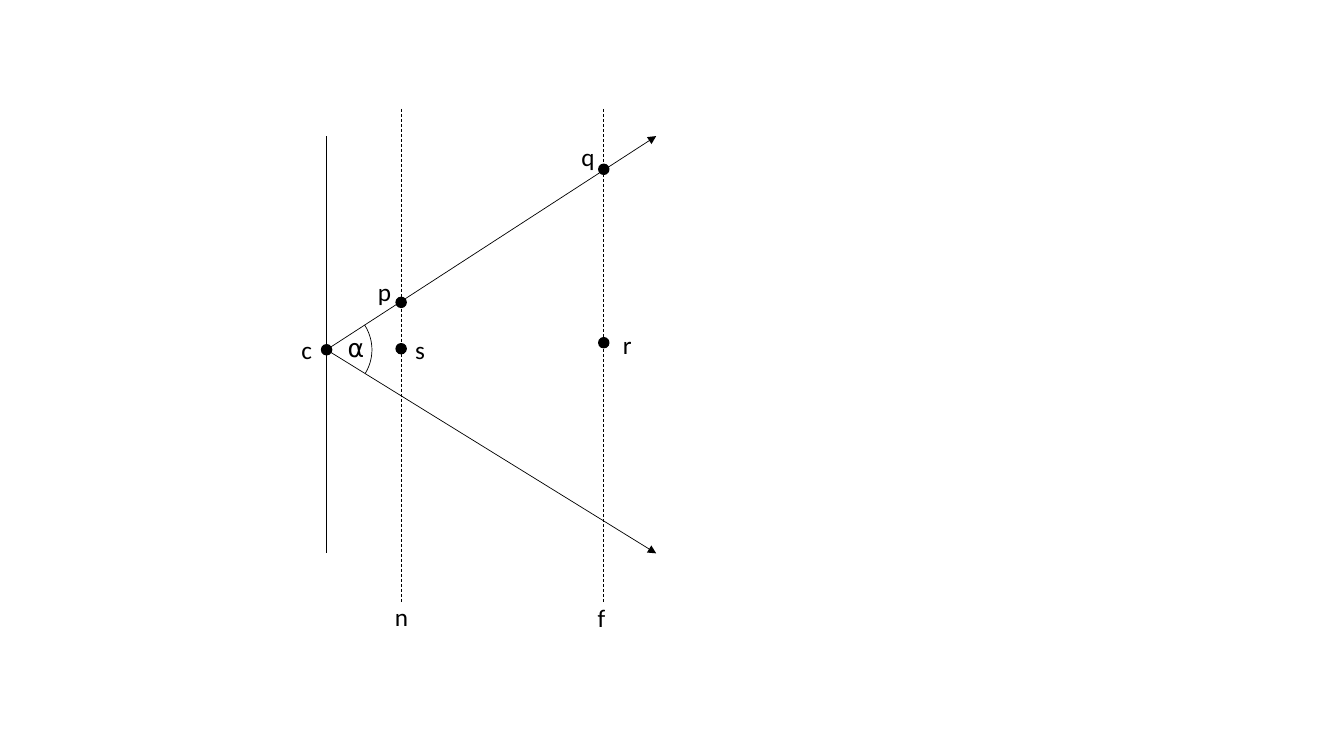
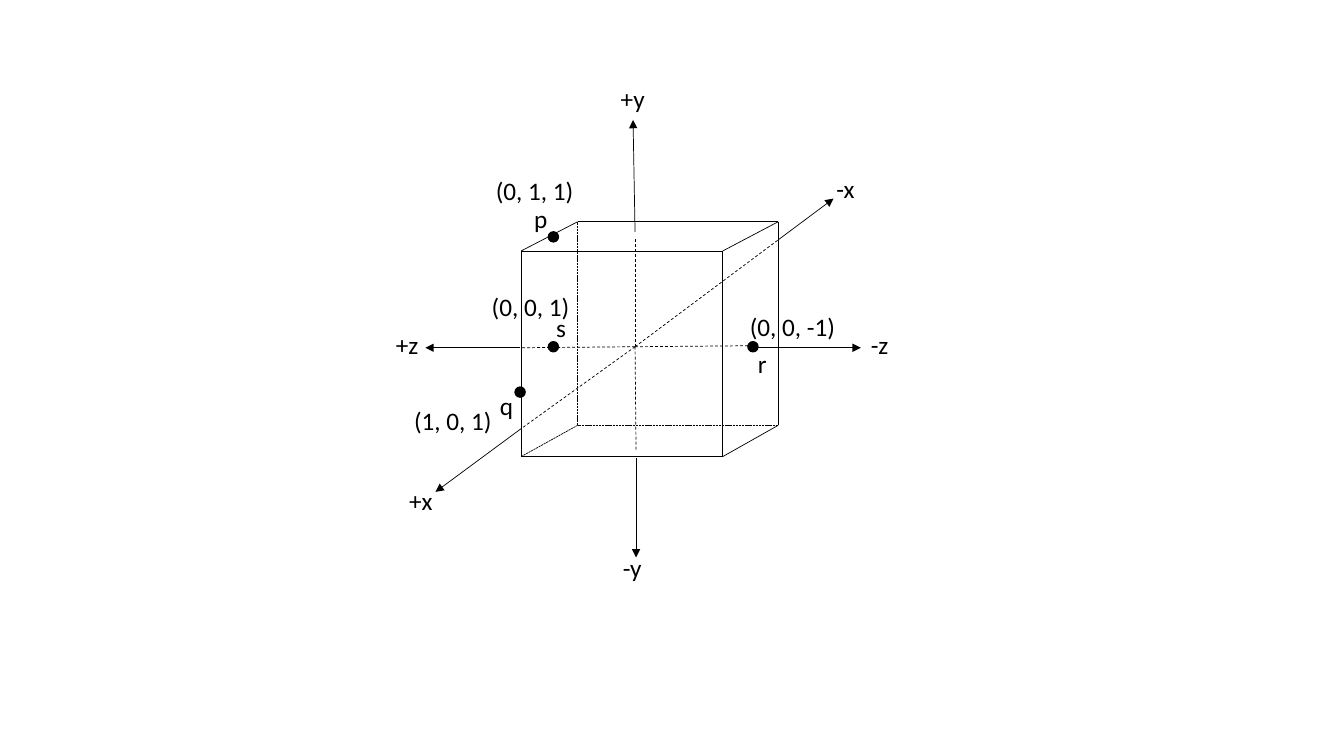
import math

from lxml import etree
from pptx import Presentation
from pptx.dml.color import RGBColor
from pptx.enum.dml import MSO_LINE
from pptx.enum.shapes import MSO_CONNECTOR, MSO_SHAPE
from pptx.enum.text import MSO_AUTO_SIZE
from pptx.oxml.ns import qn
from pptx.util import Inches, Pt

STRAIGHT = MSO_CONNECTOR.STRAIGHT
OVAL = MSO_SHAPE.OVAL
GROW = MSO_AUTO_SIZE.SHAPE_TO_FIT_TEXT
DASH = MSO_LINE.DASH
SHORT_DASH = MSO_LINE.SQUARE_DOT

COLORS = {"ink": "000000", "paper": "FFFFFF"}
BLANK_LAYOUT = 6


def cells(n):
    """Length of n grid cells; the slide is 133.3 columns by 75 rows."""
    return Inches(n / 10)


class Diagram:
    """Line-drawing style plus the current slide; points are (column, row)."""

    font, font_size = "Calibri", Pt(18)
    thin, outline = Pt(0.5), Pt(1)
    dot_size, label_height = 1, 4

    def __init__(self, prs):
        self.prs = prs
        self.ink = RGBColor.from_string(COLORS["ink"])

    def new_slide(self):
        self.slide = self.prs.slides.add_slide(self.prs.slide_layouts[BLANK_LAYOUT])
        fill = self.slide.background.fill
        fill.solid()
        fill.fore_color.rgb = RGBColor.from_string(COLORS["paper"])

    def stroke(self, sp, width):
        sp.line.color.rgb = self.ink
        sp.line.width = width

    def line(self, start, end, dash=None, arrow=False):
        sp = self.slide.shapes.add_connector(
            STRAIGHT, *(cells(n) for n in (*start, *end)))
        self.stroke(sp, self.thin)
        if dash:
            sp.line.dash_style = dash
        if arrow:
            ln = sp._element.spPr.find(qn("a:ln"))
            etree.SubElement(ln, qn("a:tailEnd"), type="triangle")
        etree.SubElement(sp._element.spPr, qn("a:effectLst"))

    def arrow(self, start, end):
        self.line(start, end, arrow=True)

    def dot(self, x, y):
        """Filled point centred on (x, y)."""
        d = self.dot_size
        sp = self.slide.shapes.add_shape(
            OVAL, cells(x - d / 2), cells(y - d / 2), cells(d), cells(d))
        sp.shadow.inherit = False
        sp.fill.solid()
        sp.fill.fore_color.rgb = self.ink
        self.stroke(sp, self.outline)

    def angle(self, vertex, end_a, end_b, radius, steps=24):
        """Circular arc between the rays from vertex to end_a and to end_b."""
        x, y = vertex
        a, b = (math.atan2(ey - y, ex - x) for ex, ey in (end_a, end_b))
        turns = [a + (b - a) * i / steps for i in range(steps + 1)]
        points = [(cells(x + radius * math.cos(t)), cells(y + radius * math.sin(t)))
                  for t in turns]
        builder = self.slide.shapes.build_freeform(*points[0])
        builder.add_line_segments(points[1:], close=False)
        sp = builder.convert_to_shape()
        sp.shadow.inherit = False
        sp.fill.background()
        self.stroke(sp, self.thin)

    def label(self, text, left, top, width):
        sp = self.slide.shapes.add_textbox(
            cells(left), cells(top), cells(width), cells(self.label_height))
        tf = sp.text_frame
        tf.word_wrap = False
        tf.auto_size = GROW
        r = tf.paragraphs[0].add_run()
        r.text = text
        r.font.name, r.font.size = self.font, self.font_size
        r.font.color.rgb = self.ink


def view_frustum(d):
    d.new_slide()
    eye, upper, lower = (32.4, 34.7), (65.1, 13.5), (65.1, 54.9)
    d.line((eye[0], upper[1]), (eye[0], lower[1]))
    for end in (upper, lower):
        d.arrow(eye, end)
    near, far = 39.8, 59.9
    for x in (near, far):
        d.line((x, 10.8), (x, 59.9), DASH)
    d.angle(eye, upper, lower, 4.5)
    for point in (eye, (near, 30), (near, 34.6), (far, 16.8), (far, 34)):
        d.dot(*point)
    for label in (
        ("n", 38.2, 59.2, 3.2), ("f", 58.3, 59.3, 3.2), ("⍺", 33.5, 32.5, 3.2),
        ("r", 60.8, 32.2, 2.9), ("s", 40.2, 32.7, 3), ("p", 36.5, 26.9, 3.4),
        ("q", 56.7, 13.5, 3.4), ("c", 28.9, 32.7, 3.1),
    ):
        d.label(*label)


def box_edges(d, front, back):
    """Draw a box from two (left, top, right, bottom) faces, hidden edges dashed."""
    faces = [[(l, t), (r, t), (r, b), (l, b)] for l, t, r, b in (front, back)]
    hidden = faces[1][3]
    edges = list(zip(*faces))
    for face in faces:
        edges += zip(face, face[1:] + face[:1])
    for start, end in edges:
        d.line(start, end, SHORT_DASH if hidden in (start, end) else None)


def clip_cube(d):
    d.new_slide()
    box_edges(d, (51.7, 24.9, 71.7, 45.3), (57.3, 22, 77.2, 42.2))

    center = (63, 34.4)
    # Each half axis: dashed end inside the cube, solid start, arrow tip.
    for inside, start, tip in (
        ((51.6, 42.6), (51.6, 42.6), (43.2, 48.8)),
        ((77.2, 23.8), (77.2, 23.8), (82.7, 19.7)),
        ((63, 23.5), (63, 23), (62.8, 11.9)),
        ((63.1, 44.6), (63.1, 45.4), (63.1, 55.3)),
        ((51.6, 34.5), (51.6, 34.5), (42.2, 34.5)),
        ((74.4, 34.3), (74.9, 34.5), (85.4, 34.5)),
    ):
        d.line(center, inside, DASH)
        d.arrow(start, tip)

    for point in ((54.9, 23.5), (54.9, 34.4), (74.7, 34.4), (51.6, 38.9)):
        d.dot(*point)
    for label in (
        ("+x", 39.6, 47.7, 4.4), ("-x", 82, 16.7, 3.8),
        ("+y", 60.6, 7.8, 4.4), ("-y", 60.8, 54.3, 3.9),
        ("+z", 38.3, 32.2, 4.3), ("-z", 85.4, 32.2, 3.8),
        ("p", 52, 19.7, 3.4), ("(0, 1, 1)", 48.2, 16.9, 9.8),
        ("s", 54.2, 30.5, 3), ("(0, 0, 1)", 47.8, 28.4, 9.8),
        ("q", 48.6, 38.2, 3.4), ("(1, 0, 1)", 40.1, 39.7, 9.8),
        ("r", 74.2, 34.1, 2.9), ("(0, 0, -1)", 73.4, 30.4, 10.6),
    ):
        d.label(*label)


def main():
    prs = Presentation()
    prs.slide_width, prs.slide_height = cells(133.33), cells(75)
    d = Diagram(prs)
    view_frustum(d)
    clip_cube(d)
    prs.save("out.pptx")


if __name__ == "__main__":
    main()
